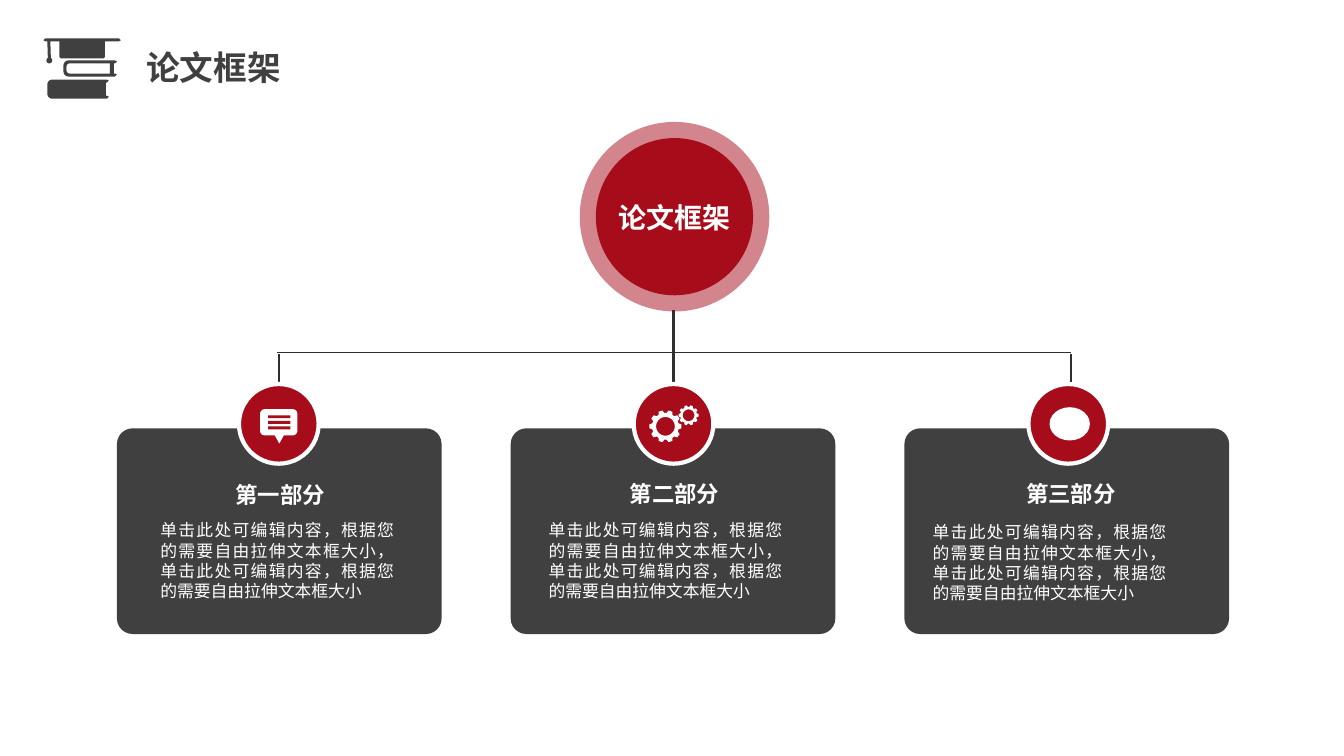
from dataclasses import dataclass
from math import cos, radians, sin

from lxml import etree
from pptx import Presentation
from pptx.dml.color import RGBColor
from pptx.enum.shapes import MSO_CONNECTOR, MSO_SHAPE
from pptx.enum.text import MSO_ANCHOR, MSO_AUTO_SIZE, PP_ALIGN
from pptx.oxml.ns import qn
from pptx.util import Inches, Pt

OVAL, ROUNDED = MSO_SHAPE.OVAL, MSO_SHAPE.ROUNDED_RECTANGLE
TRIANGLE, BAR = MSO_SHAPE.ISOSCELES_TRIANGLE, MSO_SHAPE.RECTANGLE
STRAIGHT = MSO_CONNECTOR.STRAIGHT
TOP, MIDDLE = MSO_ANCHOR.TOP, MSO_ANCHOR.MIDDLE
LEFT, CENTER, JUSTIFY = PP_ALIGN.LEFT, PP_ALIGN.CENTER, PP_ALIGN.JUSTIFY
FIXED = MSO_AUTO_SIZE.NONE

TOPIC = "论文框架"
DETAIL = "单击此处可编辑内容，根据您的需要自由拉伸文本框大小，" \
         "单击此处可编辑内容，根据您的需要自由拉伸文本框大小"


@dataclass(frozen=True)
class Theme:
    """Colours, font and type sizes of the slide."""
    red: str = "A70C1B"
    dark: str = "404040"
    rule: str = "2F2F2F"
    white: str = "FFFFFF"
    font: str = "Noto Sans CJK SC"
    title: int = 24
    hub: int = 20
    heading: int = 16
    body: int = 12


@dataclass(frozen=True)
class Part:
    """One branch of the thesis framework."""
    heading: str
    heading_at: tuple
    detail_at: tuple


THEME = Theme()
PARTS = [
    Part("第一部分", (1.9, 4.77), (1.59, 5.16)),
    Part("第二部分", (5.81, 4.76), (5.44, 5.16)),
    Part("第三部分", (9.74, 4.76), (9.25, 5.18)),
]


def paint(shape, color, border=None):
    """Give a shape a flat fill and an optional border."""
    shape.shadow.inherit = False
    shape.fill.solid()
    shape.fill.fore_color.rgb = RGBColor.from_string(color)
    if border:
        shape.line.color.rgb = RGBColor.from_string(border)
        shape.line.width = Pt(3)
    else:
        shape.line.fill.background()
    return shape


def add_block(slide, kind, box, color, border=None):
    """Add a preset shape."""
    return paint(slide.shapes.add_shape(kind, *map(Inches, box)), color, border)


def add_outline(slide, contours, color):
    """Add one closed freeform made of several contours."""
    contours = [[(Inches(x), Inches(y)) for x, y in points] for points in contours]
    builder = slide.shapes.build_freeform(*contours[0][0], scale=1.0)
    for points in contours:
        builder.move_to(*points[0])
        builder.add_line_segments(points[1:], close=True)
    return paint(builder.convert_to_shape(), color)


def add_rule(slide, start, end, weight):
    """Add a straight line."""
    rule = slide.shapes.add_connector(STRAIGHT, *map(Inches, start + end))
    rule.line.color.rgb = RGBColor.from_string(THEME.rule)
    rule.line.width = Pt(weight)
    etree.SubElement(rule._element.spPr, qn("a:effectLst"))


def write(holder, text, size, color, align=LEFT, bold=True, **frame_format):
    """Put formatted text into a text holder."""
    frame = holder.text_frame
    settings = {"auto_size": FIXED, "word_wrap": True, "vertical_anchor": TOP}
    for name, value in (settings | frame_format).items():
        setattr(frame, name, value)
    paragraph = frame.paragraphs[0]
    paragraph.alignment = align
    run = paragraph.add_run()
    run.text = text
    for name, value in {"name": THEME.font, "size": Pt(size), "bold": bold}.items():
        setattr(run.font, name, value)
    run.font.color.rgb = RGBColor.from_string(color)
    east_asian = etree.SubElement(run._r.get_or_add_rPr(), qn("a:ea"))
    east_asian.set("typeface", THEME.font)


def add_label(slide, box, *args, inset=0, **formats):
    """Add a text box with even insets."""
    margins = {f"margin_{side}": Inches(inset) for side in ("left", "right", "top", "bottom")}
    write(slide.shapes.add_textbox(*map(Inches, box)), *args, **margins, **formats)


def arc(x, y, radius, start, end, steps=8):
    """Return points along a circular arc, in degrees."""
    angles = [radians(start + (end - start) * i / steps) for i in range(steps + 1)]
    return [(x + radius * cos(a), y + radius * sin(a)) for a in angles]


def gear(x, y, radius):
    """Return the contours of a ten-toothed gear with a round hole."""
    profile = [(-13, 0.83), (-7, 1), (7, 1), (13, 0.83)]
    teeth = [arc(x, y, radius * reach, 36 * i + angle, 0)[0]
             for i in range(10) for angle, reach in profile]
    return [teeth, arc(x, y, radius * 0.58, 0, 360, 36)]


def spine(left, top, bottom, radius):
    """Return the rounded left end of a book, from bottom to top."""
    return (arc(left + radius, bottom - radius, radius, 90, 180)
            + arc(left + radius, top + radius, radius, 180, 270))


def book(left, right, top, bottom):
    """Return the outline of a book lying on its side."""
    edge = right - 0.02
    return spine(left, top, bottom, 0.05) + [
        (edge, top), (right, top + 0.01), (edge, top + 0.03), (edge - 0.01, top + 0.03),
        (edge - 0.01, bottom - 0.03), (edge, bottom - 0.03), (right, bottom - 0.02),
        (edge, bottom)]


def add_scholar_icon(slide):
    """Draw a graduation cap on two books."""
    cap = [(0.45, 0.38), (1.18, 0.38), (1.2, 0.4), (1.18, 0.41), (1.04, 0.41),
           *arc(1.02, 0.56, 0.02, 0, 90), *arc(0.61, 0.56, 0.02, 90, 180),
           (0.59, 0.41), (0.5, 0.41), *arc(0.49, 0.6, 0.03, -60, 240),
           (0.47, 0.41), (0.45, 0.41), (0.43, 0.4)]
    pages = spine(0.66, 0.63, 0.73, 0.03) + [(1.09, 0.63), (1.09, 0.73)]
    add_outline(slide, [book(0.47, 1.08, 0.79, 0.98),
                        book(0.63, 1.16, 0.6, 0.76), pages, cap], THEME.dark)


def add_comment_icon(slide):
    """Draw a speech bubble with three lines of writing."""
    add_block(slide, TRIANGLE, (2.72, 4.31, 0.1, 0.09), THEME.white).rotation = 180
    add_block(slide, ROUNDED, (2.58, 4.06, 0.37, 0.26), THEME.white)
    for i in range(3):
        add_block(slide, BAR, (2.66, 4.12 + 0.055 * i, 0.22, 0.03), THEME.red)


def add_gears_icon(slide):
    """Draw a large and a small gear."""
    for contours in (gear(6.6, 4.23, 0.16), gear(6.83, 4.12, 0.1)):
        add_outline(slide, contours, THEME.white)


def add_plain_icon(slide):
    """Draw a plain oval mark."""
    add_block(slide, OVAL, (10.41, 4.04, 0.4, 0.33), THEME.white)


def add_hub(slide):
    """Draw the central topic with its halo."""
    halo = add_block(slide, OVAL, (5.75, 1.21, 1.88, 1.88), THEME.red)
    color = halo._element.spPr.find(qn("a:solidFill"))[0]
    etree.SubElement(color, qn("a:alpha")).set("val", "50000")
    add_block(slide, OVAL, (5.91, 1.37, 1.56, 1.56), THEME.red)
    add_label(slide, (5.91, 1.94, 1.56, 0.44), TOPIC, THEME.hub, THEME.white, CENTER,
              inset=0.05, word_wrap=False)


def add_branches(slide):
    """Draw the lines from the topic to its parts."""
    add_rule(slide, (2.75, 3.5), (10.62, 3.5), 1)
    for x, top, bottom in ((6.68, 3.08, 3.94), (2.77, 3.51, 4.37), (10.62, 3.51, 4.37)):
        add_rule(slide, (x, top), (x, bottom), 1.5)


def add_part(slide, index, part, add_icon):
    """Draw the card, badge, icon and texts of one part."""
    card = add_block(slide, ROUNDED, (1.16 + 3.905 * index, 4.25, 3.22, 2.04), THEME.dark)
    card.adjustments[0] = 0.076
    add_block(slide, OVAL, (2.37 + 3.915 * index, 3.81, 0.79, 0.79), THEME.red, THEME.white)
    add_icon(slide)
    add_label(slide, (*part.heading_at, 1.76, 0.27), part.heading, THEME.heading,
              THEME.white, CENTER, vertical_anchor=MIDDLE)
    add_label(slide, (*part.detail_at, 2.32, 0.81), DETAIL, THEME.body,
              THEME.white, JUSTIFY, bold=False)


def main():
    """Build and save the slide."""
    deck = Presentation()
    deck.slide_width, deck.slide_height = Inches(13.33), Inches(7.5)
    slide = deck.slides.add_slide(deck.slide_layouts[5])
    title = slide.shapes.title
    place = {"left": 1.35, "top": 0.42, "width": 2.48, "height": 0.5}
    for name, value in place.items():
        setattr(title, name, Inches(value))
    write(title, TOPIC, THEME.title, THEME.dark)
    add_scholar_icon(slide)
    add_hub(slide)
    add_branches(slide)
    icons = (add_comment_icon, add_gears_icon, add_plain_icon)
    for index, (part, add_icon) in enumerate(zip(PARTS, icons)):
        add_part(slide, index, part, add_icon)
    deck.save("out.pptx")


if __name__ == "__main__":
    main()
